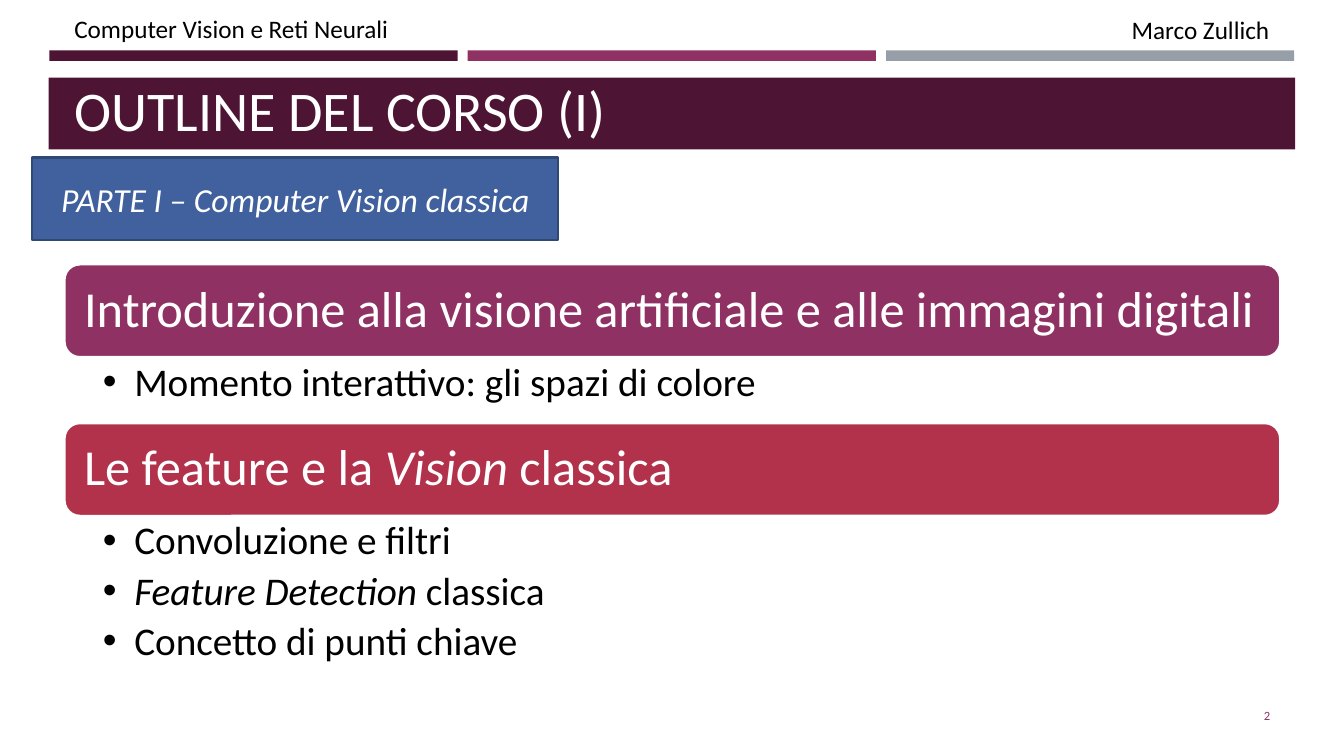
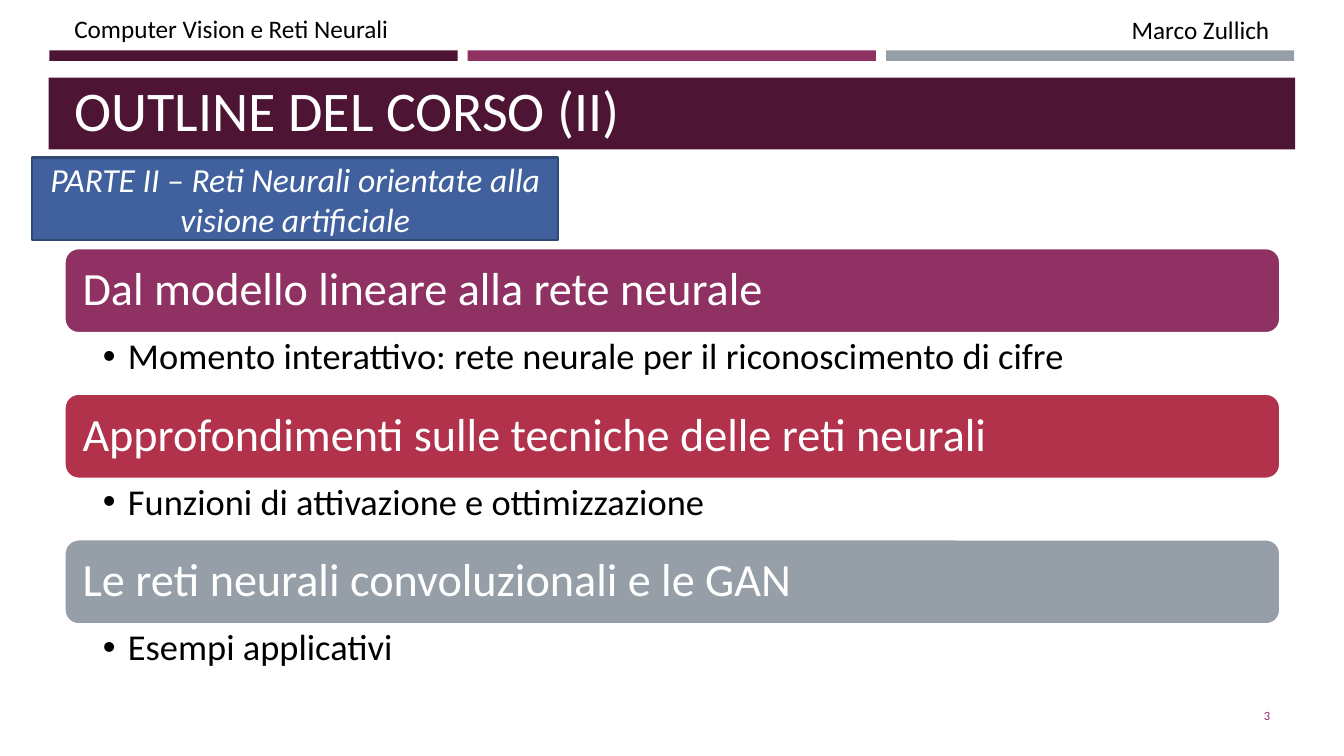
from lxml.etree import SubElement
from pptx import Presentation
from pptx.dml.color import RGBColor
from pptx.enum.shapes import MSO_SHAPE
from pptx.enum.text import MSO_ANCHOR, MSO_AUTO_SIZE, PP_ALIGN
from pptx.oxml.ns import qn
from pptx.util import Pt

FONT = "Calibri"
INK = {
    "plum": "4D1434", "berry": "903163", "red": "B2324B", "grey": "969FA7",
    "blue": "40619D", "navy": "2F4874", "white": "FFFFFF", "black": "000000",
}
LEFT, WIDTH = 46, 868.5
BANDS = ("berry", "red", "grey")

# Asterisks enclose italic words
DECK = [
    {
        "title": "OUTLINE DEL CORSO (I)",
        "part": "PARTE I – Computer Vision classica",
        "top": 188.8, "band": 66.4, "sizes": (36, 28), "hang": 22.5,
        "inset": 10.8,
        "topics": [
            ("Introduzione alla visione artificiale e alle immagini digitali",
             ["Momento interattivo: gli spazi di colore"], 47),
            ("Le feature e la *Vision *classica",
             ["Convoluzione e filtri", "*Feature Detection* classica",
              "Concetto di punti chiave"], 108.7),
        ],
    },
    {
        "title": "OUTLINE DEL CORSO (II)",
        "part": "PARTE II – Reti Neurali orientate alla visione artificiale",
        "top": 177.2, "band": 60.8, "sizes": (33, 26), "hang": 18,
        "inset": 10,
        "topics": [
            ("Dal modello lineare alla rete neurale",
             ["Momento interattivo: rete neurale per il riconoscimento di cifre"],
             43.2),
            ("Approfondimenti sulle tecniche delle reti neurali",
             ["Funzioni di attivazione e ottimizzazione"], 43.2),
            ("Le reti neurali convoluzionali e le GAN",
             ["Esempi applicativi"], 43.2),
        ],
    },
]


def color(name):
    return RGBColor.from_string(INK[name])


def bullet(para, hang):
    props = para._p.get_or_add_pPr()
    props.set("marL", str(Pt(hang)))
    props.set("indent", str(-Pt(hang)))
    SubElement(props, qn("a:buFont"), typeface="Arial")
    SubElement(props, qn("a:buChar"), char="•")


def write(shape, lines, size=18, ink="black", align=PP_ALIGN.LEFT,
          anchor=MSO_ANCHOR.TOP, inset=(7.2, 3.6, 7.2, 3.6), italic=False,
          lead=None, after=0, hang=0):
    frame = shape.text_frame
    frame.word_wrap = True
    frame.auto_size = MSO_AUTO_SIZE.NONE
    frame.vertical_anchor = anchor
    (frame.margin_left, frame.margin_top,
     frame.margin_right, frame.margin_bottom) = map(Pt, inset)
    for row, line in enumerate(lines):
        para = frame.add_paragraph() if row else frame.paragraphs[0]
        if hang:
            bullet(para, hang)
        para.alignment = align
        para.space_before, para.space_after = Pt(0), Pt(after)
        if lead:
            para.line_spacing = lead
        para.font.size = Pt(size)
        for turn, piece in enumerate(line.split("*")):
            if piece:
                run = para.add_run()
                run.text = piece
                font = run.font
                font.name, font.size = FONT, Pt(size)
                font.italic = italic or turn % 2 == 1
                font.color.rgb = color(ink)


def block(slide, box, fill, line=None, kind=MSO_SHAPE.RECTANGLE):
    shape = slide.shapes.add_shape(kind, *map(Pt, box))
    shape.shadow.inherit = False
    shape.fill.solid()
    shape.fill.fore_color.rgb = color(fill)
    if line:
        shape.line.color.rgb = color(line)
        shape.line.width = Pt(1.75)
    else:
        shape.line.fill.background()
    return shape


def label(slide, box, lines, **style):
    shape = slide.shapes.add_textbox(*map(Pt, box))
    write(shape, lines, **style)
    return shape


def number(slide, value):
    shape = label(slide, (831.6, 496.8, 82.9, 28.8), [str(value)], size=9,
                  ink="berry", align=PP_ALIGN.RIGHT, anchor=MSO_ANCHOR.MIDDLE)
    # Turn the run into a live slide number
    run = shape.text_frame.paragraphs[0].runs[0]._r
    run.tag = qn("a:fld")
    run.set("id", "{B6F15528-21DE-4FAA-801E-634DDDAF4B2B}")
    run.set("type", "slidenum")


def base(slide, title, page):
    # Header bars and title band
    for col, fill in enumerate(("plum", "berry", "grey")):
        block(slide, (35.3 + col * 298.8, 36, 291.6, 7.5), fill)
    block(slide, (34.8, 55.4, 890.4, 51.4), "plum")
    # Header texts
    label(slide, (617.8, 6.5, 296, 29.5), ["Marco Zullich"],
          align=PP_ALIGN.RIGHT)
    label(slide, (LEFT, 5.8, 296, 29.5), ["Computer Vision e Reti Neurali"])
    # Title goes in front of its band
    head = slide.shapes.title
    slide.shapes._spTree.append(head._element)
    head.left, head.top, head.width, head.height = map(
        Pt, (LEFT, 59.8, WIDTH, 45.4))
    write(head, [title], size=40, ink="white", anchor=MSO_ANCHOR.BOTTOM)
    number(slide, page)


def topics(slide, data):
    top, high, inset = data["top"], data["band"], data["inset"]
    large, small = data["sizes"]
    for fill, (name, items, room) in zip(BANDS, data["topics"]):
        band = block(slide, (LEFT, top, WIDTH, high), fill, "white",
                     MSO_SHAPE.ROUNDED_RECTANGLE)
        write(band, [name], size=large, ink="white", lead=0.9,
              anchor=MSO_ANCHOR.MIDDLE, inset=(inset,) * 4)
        label(slide, (LEFT, top + high, WIDTH, room), items, size=small,
              lead=0.9, after=small * 0.2, hang=data["hang"],
              inset=(27.4, 3.6, 20, 3.6))
        top += high + room


def part(slide, name):
    tag = block(slide, (23, 112.4, 375.8, 59.2), "blue", "navy")
    write(tag, [name], size=24, ink="white", align=PP_ALIGN.CENTER,
          anchor=MSO_ANCHOR.MIDDLE, italic=True)


def main():
    deck = Presentation()
    deck.slide_width, deck.slide_height = Pt(960), Pt(540)
    # Numbering starts at 2
    deck.element.set("firstSlideNum", "2")
    for page, data in enumerate(DECK, 2):
        slide = deck.slides.add_slide(deck.slide_layouts[5])
        base(slide, data["title"], page)
        topics(slide, data)
        part(slide, data["part"])
    deck.save("out.pptx")


if __name__ == "__main__":
    main()
